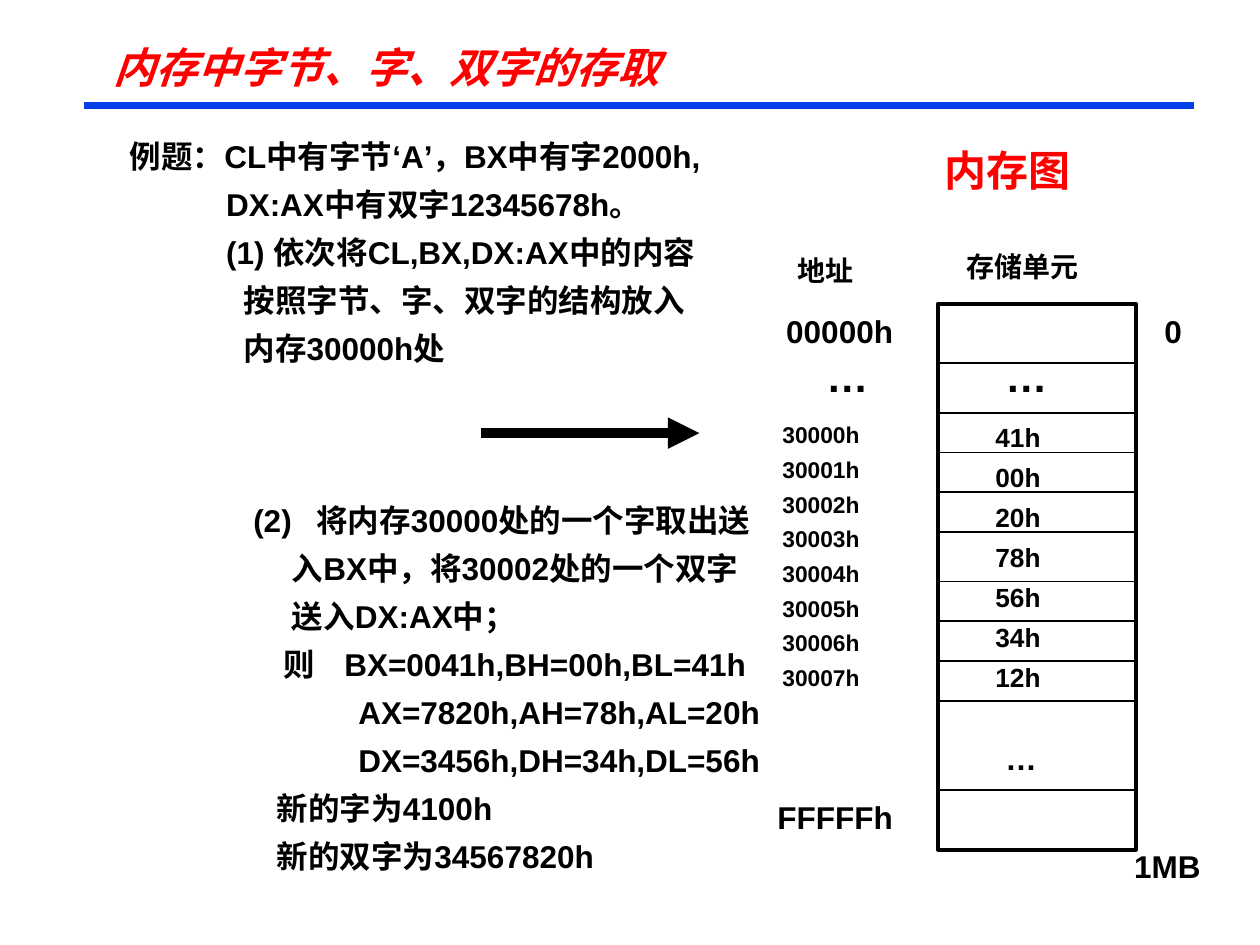
import itertools

import lxml.etree
import pptx
import pptx.dml.color
import pptx.enum.shapes
import pptx.enum.text
import pptx.oxml.ns
import pptx.util

Pt = pptx.util.Pt
qn = pptx.oxml.ns.qn
COLORS = {"red": "FF0000", "blue": "063DE8", "black": "000000"}
LATIN = "Arial"
CJK_TITLE = "Noto Sans CJK SC"
CJK_HEADING = "Noto Sans CJK JP"
INDENT = 37.5  # first-line start shared by all labels


class SlideBuilder:
    """Holds the text style and the slide being filled."""

    def __init__(self, slide):
        self.slide = slide

    def color(self, name):
        return pptx.dml.color.RGBColor.from_string(COLORS[name])

    def style(self, paragraph, size, color="black", name=LATIN, italic=False):
        font = paragraph.font
        font.size, font.bold, font.italic = Pt(size), True, italic
        font.name = name
        font.color.rgb = self.color(color)
        properties = paragraph._p.pPr.find(qn("a:defRPr"))
        lxml.etree.SubElement(properties, qn("a:ea")).set("typeface", name)

    def margins(self, frame, top, bottom):
        frame.margin_left = frame.margin_right = Pt(5)
        frame.margin_top, frame.margin_bottom = Pt(top), Pt(bottom)

    def title(self, text, left, top, width, height):
        shape = self.slide.shapes.title
        shape.left, shape.top = Pt(left), Pt(top)
        shape.width, shape.height = Pt(width), Pt(height)
        frame = shape.text_frame
        frame.text = text
        frame.auto_size = pptx.enum.text.MSO_AUTO_SIZE.NONE
        frame.vertical_anchor = pptx.enum.text.MSO_ANCHOR.MIDDLE
        self.margins(frame, 2, 2)
        paragraph = frame.paragraphs[0]
        paragraph.alignment = pptx.enum.text.PP_ALIGN.LEFT
        paragraph.line_spacing = 0.87
        self.style(paragraph, 24, "red", CJK_TITLE, italic=True)

    def text(self, lines, left, top, width, height, size=18, color="black", name=LATIN):
        """Each line is (text, first-line start, left margin)."""
        box = self.slide.shapes.add_textbox(Pt(left), Pt(top), Pt(width), Pt(height))
        frame = box.text_frame
        frame.word_wrap = True
        self.margins(frame, 8, 5)
        for index, (text, start, margin) in enumerate(lines):
            paragraph = frame.add_paragraph() if index else frame.paragraphs[0]
            paragraph.text = text
            paragraph.line_spacing = Pt(round(size * 1.02, 1))
            if index:
                paragraph.space_before = Pt(size / 2)
            properties = paragraph._p.get_or_add_pPr()
            properties.set("marL", str(Pt(margin)))
            properties.set("indent", str(Pt(start - margin)))
            self.style(paragraph, size, color, name)

    def label(self, text, left, top, width, height, **style):
        self.text([(text, INDENT, INDENT)], left, top, width, height, **style)

    def line(self, left, right, y, weight, color="black", arrow=False):
        connector = self.slide.shapes.add_connector(
            pptx.enum.shapes.MSO_CONNECTOR.STRAIGHT, Pt(left), Pt(y), Pt(right), Pt(y))
        connector.line.width = Pt(weight)
        connector.line.color.rgb = self.color(color)
        if arrow:
            outline = connector.line._get_or_add_ln()
            lxml.etree.SubElement(outline, qn("a:tailEnd")).set("type", "triangle")
        lxml.etree.SubElement(connector._element.spPr, qn("a:effectLst"))

    def frame(self, left, top, width, height):
        shape = self.slide.shapes.add_shape(
            pptx.enum.shapes.MSO_SHAPE.RECTANGLE, Pt(left), Pt(top), Pt(width), Pt(height))
        shape.shadow.inherit = False
        shape.fill.background()
        shape.line.width = Pt(2.25)
        shape.line.color.rgb = self.color("black")


def main():
    presentation = pptx.Presentation()
    presentation.slide_width, presentation.slide_height = Pt(720), Pt(540)
    slide = presentation.slides.add_slide(presentation.slide_layouts[5])
    builder = SlideBuilder(slide)

    # Title and rule
    builder.line(48, 682.5, 60.3, 3.75, "blue")
    builder.title("内存中字节、字、双字的存取", 60, 26, 414, 29)

    # Example, part 1
    builder.text([
        ("例题：CL中有字节‘A’，BX中有字2000h,", INDENT, INDENT),
        ("DX:AX中有双字12345678h。", 92.5, 92.5),
        ("(1) 依次将CL,BX,DX:AX中的内容", 92.5, 92.5),
        ("按照字节、字、双字的结构放入", 102.5, 102.5),
        ("内存30000h处", 102.5, 102.5),
    ], 31.7, 73.4, 445.7, 158.4)

    # Memory frame, with row heights counted in equal units
    left, top, width, height = 536, 173.5, 113, 312
    builder.frame(left, top, width, height)
    row_units = [6, 5, 4, 4, 4, 5, 4, 4, 4, 9, 6]
    unit = height / sum(row_units)
    for units in itertools.accumulate(row_units[:-1]):
        builder.line(left, left + width, top + units * unit, 1)

    # Headings and range labels
    builder.label("内存图", 497.5, 79, 150, 36.7,
                  size=24, color="red", name=CJK_HEADING)
    builder.label("存储单元", 509.8, 137.5, 142, 29, size=16)
    builder.label("地址", 413.3, 139.7, 109.4, 29, size=16)
    builder.label("00000h", 406.8, 173.5, 139, 31)
    builder.label("0", 622.8, 173.5, 87.8, 31)
    builder.label("FFFFFh", 401.8, 451.4, 144, 31)
    builder.label("1MB", 605.5, 479.5, 114.5, 31)

    # Skipped rows
    builder.label("…", 429.8, 196.6, 106.6, 36.7, size=24)
    builder.label("…", 532, 196.6, 101.5, 36.7, size=24)
    builder.label("…", 532, 417.6, 95.8, 31)

    # Addresses and cell contents
    addresses = [(f"3000{number}h", 52, 52) for number in range(8)]
    builder.text(addresses, 390.2, 235, 136.8, 216, size=13)
    cells = [(value, INDENT, INDENT) for value in
             ("41h", "00h", "20h", "78h", "56h", "34h", "12h")]
    builder.text(cells, 526.3, 235.4, 103.7, 165, size=15)

    # Arrow to address 30000h
    builder.line(275, 399.6, 247.5, 6, arrow=True)

    # Example, part 2
    builder.text([
        ("(2)\t将内存30000处的一个字取出送", 52, 88),
        ("入BX中，将30002处的一个双字", 74, 74),
        ("送入DX:AX中；", 74, 74),
        ("则\tBX=0041h,BH=00h,BL=41h", 69.5, 104),
        ("AX=7820h,AH=78h,AL=20h", 112, 112),
        ("DX=3456h,DH=34h,DL=56h", 112, 112),
        ("新的字为4100h", 65.5, 65.5),
        ("新的双字为34567820h", 65.5, 65.5),
    ], 87.8, 281.5, 360, 250)

    presentation.save("out.pptx")


if __name__ == "__main__":
    main()
